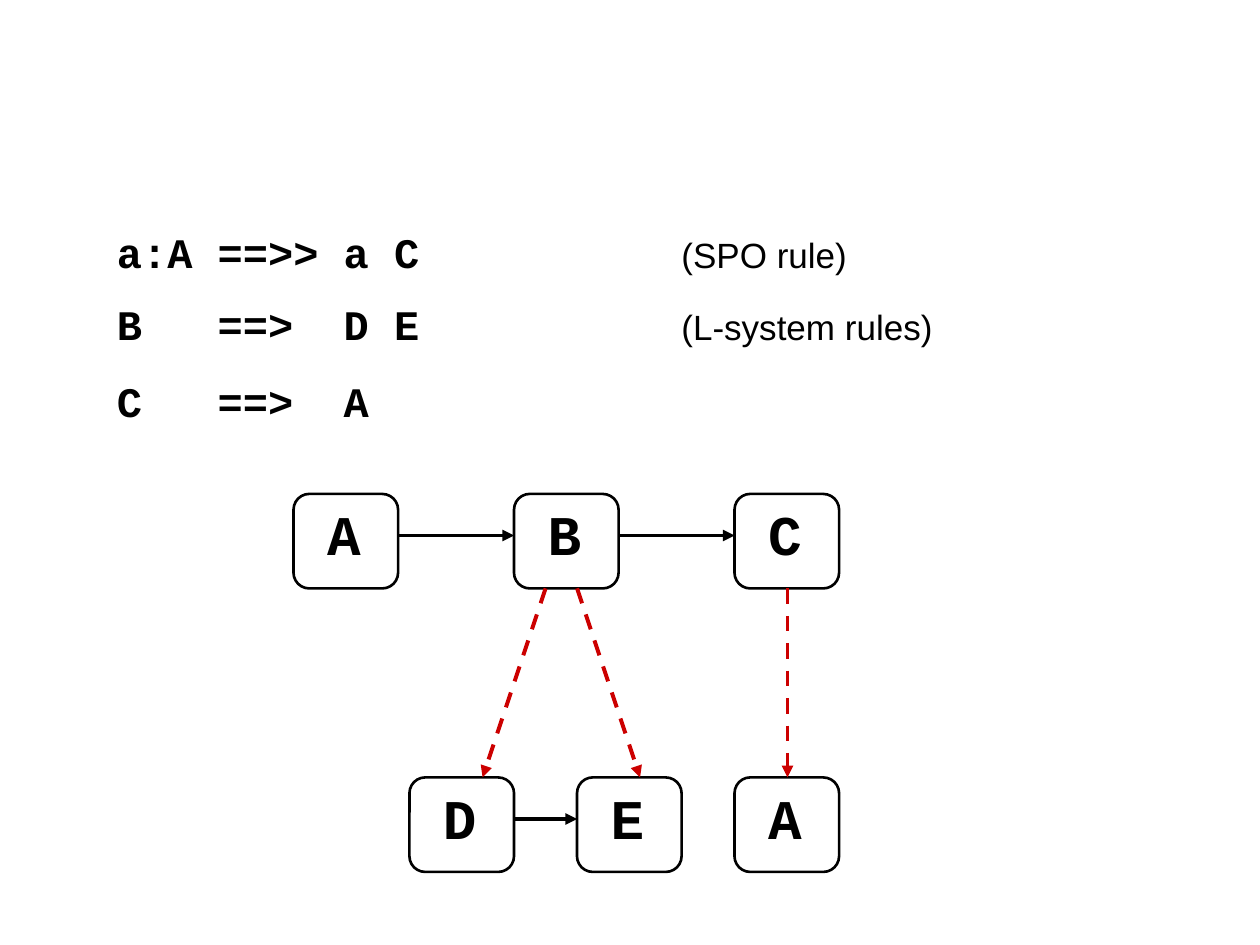
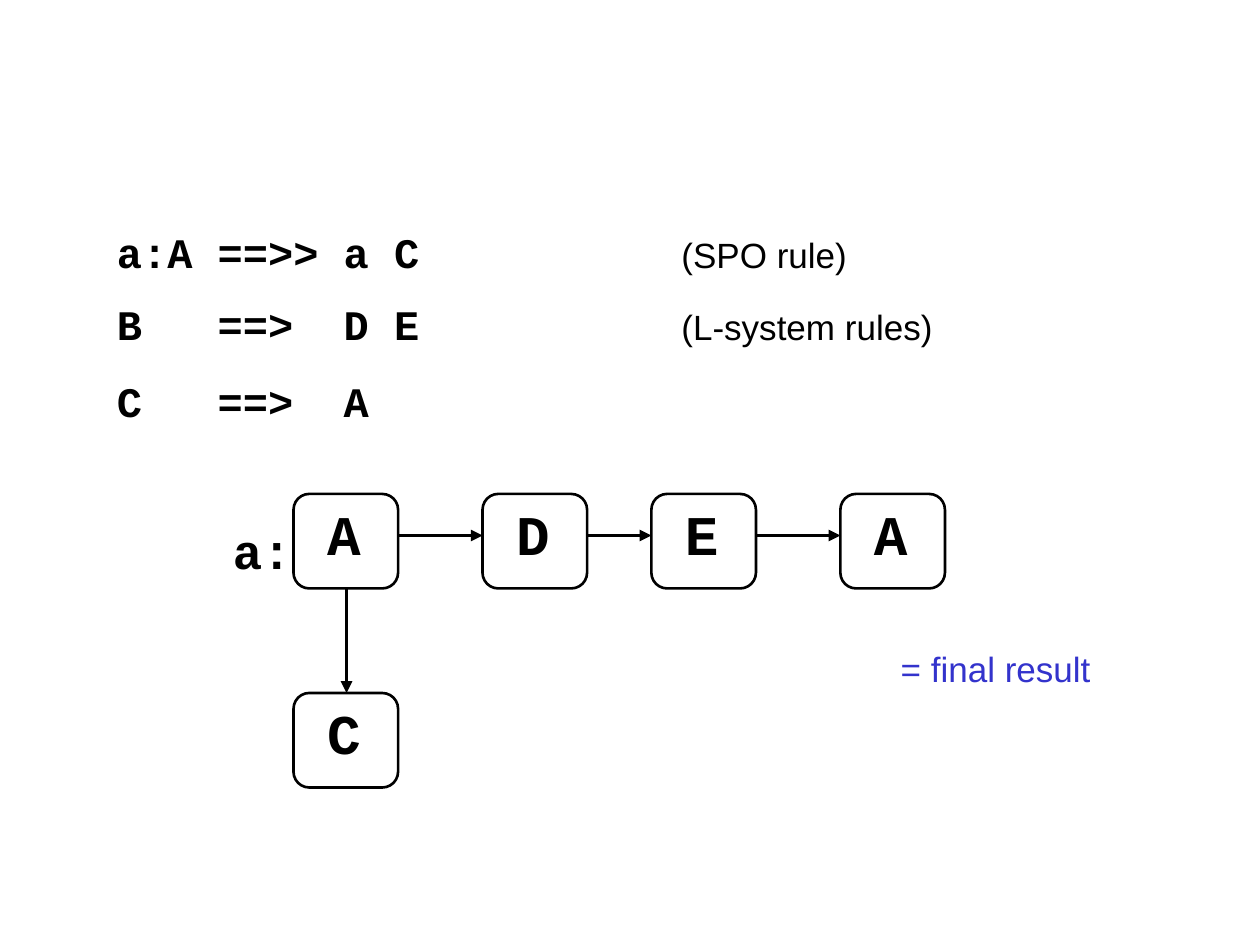
from lxml import etree
from pptx import Presentation
from pptx.dml.color import RGBColor
from pptx.enum.dml import MSO_LINE
from pptx.enum.shapes import MSO_CONNECTOR, MSO_SHAPE
from pptx.enum.text import MSO_ANCHOR, PP_ALIGN
from pptx.oxml.ns import qn
from pptx.util import Inches, Pt

ROUNDED = MSO_SHAPE.ROUNDED_RECTANGLE
STRAIGHT = MSO_CONNECTOR.STRAIGHT
DASH = MSO_LINE.DASH
TOP = MSO_ANCHOR.TOP
LEFT = PP_ALIGN.LEFT

BLACK, RED, BLUE = "000000", "CC0000", "3333CC"
NODE_W, NODE_H = 0.83, 0.75
EDGE_DROP = 0.33  # horizontal edges leave a node this far below its top
TOP_ROW = 3.92

FORMATS = {
    "rule": {"name": "Courier New", "size": Pt(24), "bold": True},
    "node": {"name": "Courier New", "size": Pt(32), "bold": True},
    "label": {"name": "Courier New", "size": Pt(28), "bold": True},
    "remark": {"name": "Arial", "size": Pt(20), "bold": False},
}

# Left side, arrow, right side, remark, space before
RULES = [
    ("a:A", "==>>", "a C", "(SPO rule)", 12.5),
    ("B", "==>", "D E", "(L-system rules)", 12.5),
    ("C", "==>", "A", "", 15),
]
RULE_TABS = [0.8, 1.8, 4.48]

# Nodes: letter, left, top. Edges: start x, start y, end x, end y
GRAPHS = [
    {
        "nodes": [("A", 2.33, TOP_ROW), ("B", 4.08, TOP_ROW), ("C", 5.83, TOP_ROW),
                  ("D", 3.25, 6.17), ("E", 4.58, 6.17), ("A", 5.83, 6.17)],
        "successors": [(0, 1), (1, 2), (3, 4)],
        "branches": [],
        "derivations": [(4.33, 4.67, 3.83, 6.17), (4.58, 4.67, 5.08, 6.17),
                        (6.25, 4.67, 6.25, 6.17)],
        "captions": [],
    },
    {
        "nodes": [("A", 2.33, TOP_ROW), ("D", 3.83, TOP_ROW), ("E", 5.17, TOP_ROW),
                  ("A", 6.67, TOP_ROW), ("C", 2.33, 5.5)],
        "successors": [(0, 1), (1, 2), (2, 3)],
        "branches": [(2.75, 4.67, 2.75, 5.5)],
        "derivations": [],
        "captions": [("a:", "label", BLACK, 1.75, 4.08, 0.67, 0.57),
                     ("= final result", "remark", BLUE, 7.05, 5.09, 2.68, 0.44)],
    },
]


def add_run(paragraph, text, style, color=BLACK):
    run = paragraph.add_run()
    run.text = text
    for attribute, value in FORMATS[style].items():
        setattr(run.font, attribute, value)
    run.font.color.rgb = RGBColor.from_string(color)


def add_arrow(slide, ends, color):
    arrow = slide.shapes.add_connector(STRAIGHT, *[Inches(v) for v in ends])
    arrow.line.width = Pt(2.25)
    arrow.line.color.rgb = RGBColor.from_string(color)
    if color == RED:
        arrow.line.dash_style = DASH
    etree.SubElement(arrow.line._get_or_add_ln(), qn("a:tailEnd"), type="triangle")
    etree.SubElement(arrow._element.spPr, qn("a:effectLst"))


prs = Presentation()
prs.slide_width, prs.slide_height = Inches(10), Inches(7.5)

for graph in GRAPHS:
    slide = prs.slides.add_slide(prs.slide_layouts[6])

    # Grammar rules, aligned in columns by tab stops
    rules = slide.shapes.add_textbox(
        Inches(0.83), Inches(1.75), Inches(8.67), Inches(1.68)).text_frame
    rules.word_wrap = True
    for i, (left_side, arrow, right_side, remark, space) in enumerate(RULES):
        rule = rules.add_paragraph() if i else rules.paragraphs[0]
        rule.space_before = Pt(space)
        tabs = etree.SubElement(rule._p.get_or_add_pPr(), qn("a:tabLst"))
        for stop in RULE_TABS:
            etree.SubElement(tabs, qn("a:tab"), pos=str(Inches(stop)), algn="l")
        add_run(rule, f"{left_side}\t{arrow}\t{right_side}", "rule")
        if remark:
            add_run(rule, f"\t{remark}", "remark")

    # Nodes
    for letter, x, y in graph["nodes"]:
        node = slide.shapes.add_shape(
            ROUNDED, Inches(x), Inches(y), Inches(NODE_W), Inches(NODE_H))
        node.shadow.inherit = False
        node.fill.background()
        node.line.width = Pt(1.5)
        node.line.color.rgb = RGBColor.from_string(BLACK)
        frame = node.text_frame
        frame.vertical_anchor = TOP
        frame.margin_left, frame.margin_top = Inches(0.23), Inches(0.01)
        frame.margin_right = frame.margin_bottom = 0
        frame.paragraphs[0].alignment = LEFT
        frame.paragraphs[0].space_before = Pt(20)
        add_run(frame.paragraphs[0], letter, "node")

    # Edges between neighbours, branches and derivation steps
    for start, end in graph["successors"]:
        _, x, y = graph["nodes"][start]
        next_x = graph["nodes"][end][1]
        add_arrow(slide, (x + NODE_W, y + EDGE_DROP, next_x, y + EDGE_DROP), BLACK)
    for kind, color in (("branches", BLACK), ("derivations", RED)):
        for ends in graph[kind]:
            add_arrow(slide, ends, color)

    # Captions beside the graph
    for text, style, color, *box in graph["captions"]:
        caption = slide.shapes.add_textbox(*[Inches(v) for v in box]).text_frame
        caption.word_wrap = True
        caption.paragraphs[0].space_before = FORMATS[style]["size"] * 5 // 8
        add_run(caption.paragraphs[0], text, style, color)

prs.save("out.pptx")
